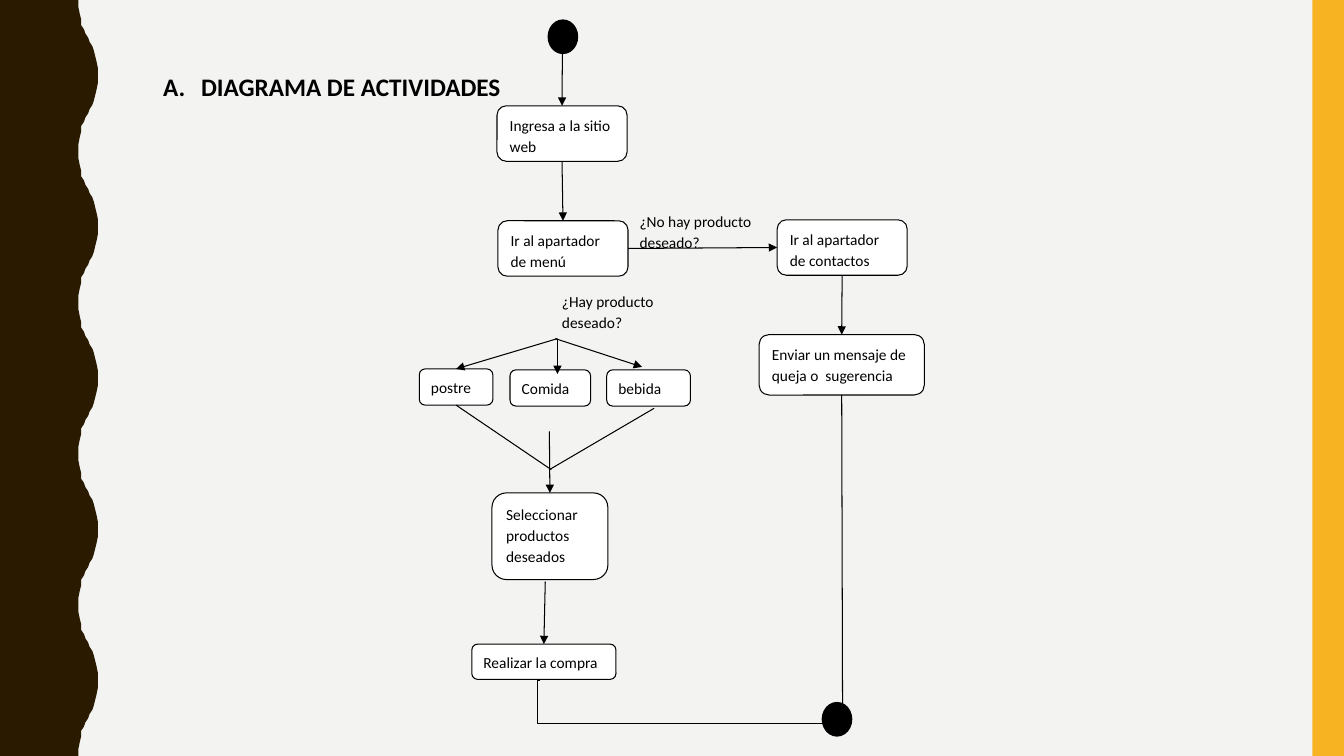
from pptx import Presentation
from pptx.dml.color import RGBColor
from pptx.enum.shapes import MSO_CONNECTOR as Conn, MSO_SHAPE as Kind
from pptx.enum.text import MSO_ANCHOR as Anchor, PP_ALIGN as Align
from pptx.oxml.ns import qn
from pptx.util import Pt
from lxml.etree import SubElement as Sub

WIDE, HIGH = 960, 540
FONT = "Calibri"
INK, PAPER, BACK, BROWN, GOLD = "000000", "FFFFFF", "F3F3F2", "2A1A00", "F8B323"
TOP, LEFT, BASE, RIGHT = range(4)

# Half of one wave along the left edge, as (x, y)
WAVE = [(56, 0), (56.2, 5), (56.9, 10), (57.6, 14.4), (58.3, 18), (59.8, 20.9),
        (61.2, 23.8), (62.6, 27.4), (64.1, 30.2), (65.5, 33.1), (67, 36),
        (68.4, 39.6), (69.1, 43.9), (69.8, 49), (70, 54)]
STEP, COUNT = 108, 5

BOXES = {
    "visit": ("Ingresa a la sitio web", 355, 75.6, 92.9, 39.6),
    "menu": ("Ir al apartador de menú", 355.7, 157.7, 92.9, 39.6),
    "contact": ("Ir al apartador de contactos", 555.1, 157, 92.9, 39.6),
    "message": ("Enviar un mensaje de queja o  sugerencia", 542.2, 239, 118.1, 43.2),
    "sweet": ("postre", 299.5, 263.5, 52.6, 25.9),
    "meal": ("Comida", 364.3, 264.2, 57.6, 25.9),
    "drink": ("bebida", 433.4, 264.2, 59.8, 25.9),
    "select": ("Seleccionar productos deseados", 351.4, 352.1, 82.8, 61.9),
    "buy": ("Realizar la compra", 337, 460.1, 103, 25.2),
}
LABELS = [
    ("¿Hay producto deseado?", 392.4, 200.9, 92.9, 39.6),
    ("¿No hay producto deseado?", 447.8, 144, 140, 39.6),
]
# Each end is a point, or a box name with its side
ARROWS = [
    ((401.8, 29.5), ("visit", TOP)),
    (("visit", BASE), ("menu", TOP)),
    (("menu", RIGHT), ("contact", LEFT)),
    (("contact", BASE), ("message", TOP)),
    (("message", BASE), (601.9, 517.7)),
    ((396.7, 241.9), (458.6, 262.1)),
    ((398.2, 241.9), (398.2, 267.1)),
    ((398.2, 241.9), ("sweet", TOP)),
    ((392.4, 308.2), ("select", TOP)),
    ((389.5, 415.4), ("buy", TOP)),
]
LINES = [
    ((467.3, 291.6), (392.4, 335.5)),
    (("sweet", BASE), (393.8, 335.5)),
]


def tint(code):
    return RGBColor.from_string(code)


def paint(shape, fill=None, line=None, width=0.75):
    shape.shadow.inherit = False
    if fill:
        shape.fill.solid()
        shape.fill.fore_color.rgb = tint(fill)
    else:
        shape.fill.background()
    if line:
        shape.line.color.rgb = tint(line)
        shape.line.width = Pt(width)
    else:
        shape.line.fill.background()


def add_run(para, text, size, bold=False):
    run = para.add_run()
    run.text = text
    run.font.name, run.font.size, run.font.bold = FONT, Pt(size), bold
    run.font.color.rgb = tint(INK)


def add_shape(slide, kind, x, y, w, h, **look):
    shape = slide.shapes.add_shape(kind, Pt(x), Pt(y), Pt(w), Pt(h))
    paint(shape, **look)
    return shape


def add_box(slide, text, x, y, w, h, **look):
    box = add_shape(slide, Kind.ROUNDED_RECTANGLE, x, y, w, h, **look)
    frame = box.text_frame
    frame.word_wrap = True
    frame.vertical_anchor = Anchor.TOP
    para = frame.paragraphs[0]
    para.alignment = Align.LEFT
    para.line_spacing, para.space_after = 1.15, Pt(10)
    add_run(para, text, 11)
    return box


def add_dot(slide, x, y):
    add_shape(slide, Kind.OVAL, x, y, 19.4, 22.3, fill=INK, line=INK, width=2.5)


def add_line(slide, boxes, start, end, head=False, kind=Conn.STRAIGHT):
    spots = [(0, 0) if isinstance(e[0], str) else e for e in (start, end)]
    line = slide.shapes.add_connector(kind, *[Pt(v) for spot in spots for v in spot])
    for tip, join in ((start, line.begin_connect), (end, line.end_connect)):
        if isinstance(tip[0], str):
            join(boxes[tip[0]], tip[1])
    line.line.color.rgb = tint(INK)
    line.line.width = Pt(0.75)
    props = line._element.spPr
    if head:
        Sub(props.find(qn("a:ln")), qn("a:tailEnd"), type="triangle")
    Sub(props, qn("a:effectLst"))
    return line


def add_elbow(slide, start, end, bend):
    line = add_line(slide, {}, start, end, kind=Conn.ELBOW)
    geom = line._element.spPr.find(qn("a:prstGeom"))
    values = geom.find(qn("a:avLst"))
    if values is None:
        values = Sub(geom, qn("a:avLst"))
    Sub(values, qn("a:gd"), name="adj1", fmla=f"val {bend}")


def add_edges(slide):
    wave = WAVE + [(x, STEP - y) for x, y in WAVE[-2:0:-1]]
    rim = [(x, y + STEP * i) for i in range(COUNT) for x, y in wave]
    rim += [(WAVE[0][0], HIGH), (0, HIGH)]
    form = slide.shapes.build_freeform(0, 0, scale=Pt(1))
    form.add_line_segments(rim, close=True)
    paint(form.convert_to_shape(), fill=BROWN)
    add_shape(slide, Kind.RECTANGLE, 937.4, 0, WIDE - 937.4, HIGH, fill=GOLD)


def set_title(slide, text):
    title = slide.shapes.title
    title.left, title.top, title.width, title.height = Pt(109.4), Pt(46.1), Pt(257.8), Pt(29.5)
    frame = title.text_frame
    frame.word_wrap = False
    frame.vertical_anchor = Anchor.TOP
    para = frame.paragraphs[0]
    para.alignment = Align.LEFT
    para.line_spacing, para.space_after = 1.07, Pt(8)
    add_run(para, text, 18, bold=True)
    # Lettered bullet with a hanging indent
    props = para._p.get_or_add_pPr()
    props.set("marL", str(Pt(27)))
    props.set("indent", str(Pt(-27)))
    Sub(props, qn("a:buFont"), typeface="+mj-lt")
    Sub(props, qn("a:buAutoNum"), type="alphaUcPeriod")


def main():
    deck = Presentation()
    deck.slide_width, deck.slide_height = Pt(WIDE), Pt(HIGH)
    slide = deck.slides.add_slide(deck.slide_layouts[5])
    slide.background.fill.solid()
    slide.background.fill.fore_color.rgb = tint(BACK)
    add_edges(slide)
    set_title(slide, "DIAGRAMA DE ACTIVIDADES")

    # Steps and questions
    add_dot(slide, 392.4, 15.1)
    boxes = {name: add_box(slide, *row, fill=PAPER, line=INK) for name, row in BOXES.items()}
    for row in LABELS:
        add_box(slide, *row)

    # Flow
    for start, end in ARROWS:
        add_line(slide, boxes, start, end, head=True)
    for start, end in LINES:
        add_line(slide, boxes, start, end)
    add_elbow(slide, (385.9, 486), (600.5, 517), -900)
    add_dot(slide, 588.2, 502.6)
    deck.save("out.pptx")


if __name__ == "__main__":
    main()
